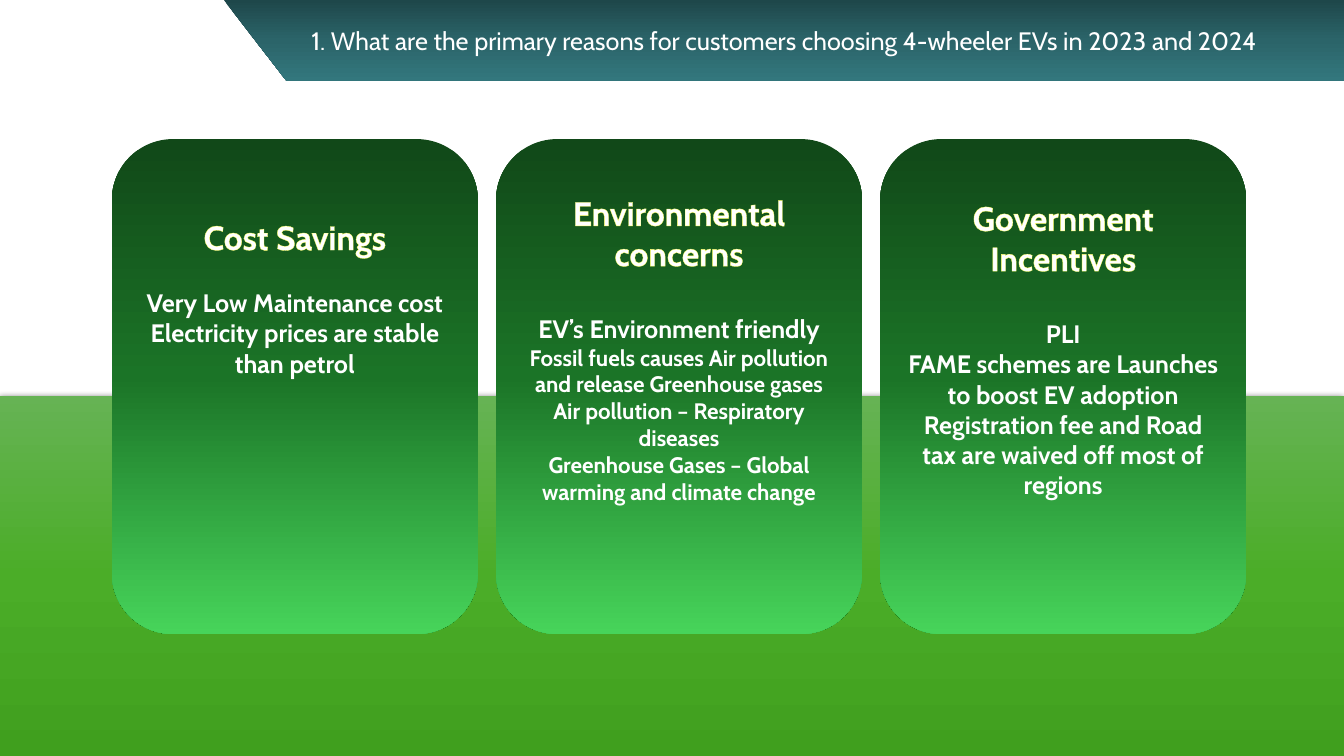
from copy import deepcopy
from dataclasses import dataclass

from lxml import etree
from pptx import Presentation
from pptx.dml.color import RGBColor
from pptx.enum.shapes import MSO_SHAPE
from pptx.enum.text import MSO_ANCHOR, PP_ALIGN
from pptx.oxml.ns import qn
from pptx.util import Inches, Pt

RECTANGLE = MSO_SHAPE.RECTANGLE
ROUNDED = MSO_SHAPE.ROUNDED_RECTANGLE
CENTER = PP_ALIGN.CENTER
TOP, MIDDLE = MSO_ANCHOR.TOP, MSO_ANCHOR.MIDDLE


@dataclass(frozen=True)
class Theme:
    font: str = "Cabin"
    text: str = "FFFFFF"
    glow: str = "FFFF66"
    shadow: str = "000000"
    ground: tuple = ((0, "66B354"), (0.5, "4BAD28"), (1, "409F1E"))
    banner: tuple = ((0, "1E474A"), (0.5, "2B6469"), (1, "33777D"))
    card: tuple = ((0, "114818"), (0.48, "1B7427"), (1, "47D45A"))
    heading_size: int = 24
    body_size: int = 18
    small_size: int = 16


theme = Theme()


def paint(shape, stops):
    """Fill a shape from top to bottom with three colours, without line or shadow."""
    shape.shadow.inherit = False
    shape.line.fill.background()
    shape.fill.gradient()
    shape.fill.gradient_angle = 270
    stop_list = shape._element.spPr.find(".//" + qn("a:gsLst"))
    stop_list.append(deepcopy(stop_list[-1]))
    for stop, (position, color) in zip(shape.fill.gradient_stops, stops):
        stop.position = position
        stop.color.rgb = RGBColor.from_string(color)


def add_text(paragraph, text, size, bold=True):
    paragraph.alignment = CENTER
    run = paragraph.add_run()
    run.text = text
    run.font.name = theme.font
    run.font.size = Pt(size)
    run.font.bold = bold
    run.font.color.rgb = RGBColor.from_string(theme.text)
    return run


presentation = Presentation()
presentation.slide_width = Inches(13.33)
presentation.slide_height = Inches(7.5)
slide = presentation.slides.add_slide(presentation.slide_layouts[6])

# Green ground with a soft shadow
ground = slide.shapes.add_shape(
    RECTANGLE, Inches(0), Inches(3.93), Inches(13.33), Inches(3.57))
paint(ground, theme.ground)
effects = ground._element.spPr.find(qn("a:effectLst"))
shadow = etree.SubElement(
    effects, qn("a:outerShdw"), blurRad=str(Pt(4.5)), dist=str(Pt(1.5)),
    dir="5400000", rotWithShape="0")
shadow_color = etree.SubElement(shadow, qn("a:srgbClr"), val=theme.shadow)
etree.SubElement(shadow_color, qn("a:alpha"), val="63000")

# Banner with a slanted left end
builder = slide.shapes.build_freeform(Inches(2.22), Inches(0))
builder.add_line_segments(
    [(Inches(x), Inches(y)) for x, y in ((13.33, 0), (13.33, 0.8), (2.84, 0.8))])
banner = builder.convert_to_shape()
paint(banner, theme.banner)
banner.text_frame.word_wrap = True
banner.text_frame.vertical_anchor = MIDDLE
add_text(
    banner.text_frame.paragraphs[0],
    "1. What are the primary reasons for customers choosing 4-wheeler EVs in 2023 and 2024",
    theme.body_size, bold=False)

# Reason cards: heading, top inset, gap under the heading, body lines
body, small = theme.body_size, theme.small_size
cards = [
    ("Cost Savings", 0.59, 22, [
        ("Very Low Maintenance cost", body),
        ("Electricity prices are stable than petrol", body),
    ]),
    ("Environmental concerns", 0.35, 29, [
        ("EV’s Environment friendly", body),
        ("Fossil fuels causes Air pollution and release Greenhouse gases", small),
        ("Air pollution – Respiratory diseases", small),
        ("Greenhouse Gases – Global warming and climate change", small),
    ]),
    ("Government Incentives", 0.4, 29, [
        ("PLI", body),
        ("FAME schemes are Launches to boost EV adoption", body),
        ("Registration fee and Road tax are waived off most of regions", body),
    ]),
]
for index, (heading, inset, gap, lines) in enumerate(cards):
    card = slide.shapes.add_shape(
        ROUNDED, Inches(1.11 + 3.81 * index), Inches(1.38), Inches(3.63), Inches(4.91))
    paint(card, theme.card)
    frame = card.text_frame
    frame.word_wrap = True
    frame.vertical_anchor = TOP
    frame.margin_top = Inches(inset)

    heading_run = add_text(frame.paragraphs[0], heading, theme.heading_size)
    outline = etree.Element(qn("a:ln"), w=str(Pt(0.75)))
    outline_fill = etree.SubElement(outline, qn("a:solidFill"))
    etree.SubElement(outline_fill, qn("a:srgbClr"), val=theme.glow)
    heading_run.font._element.insert(0, outline)

    for number, (line, size) in enumerate(lines):
        paragraph = frame.add_paragraph()
        paragraph.space_before = Pt(0 if number else gap)
        add_text(paragraph, line, size)

presentation.save("out.pptx")
